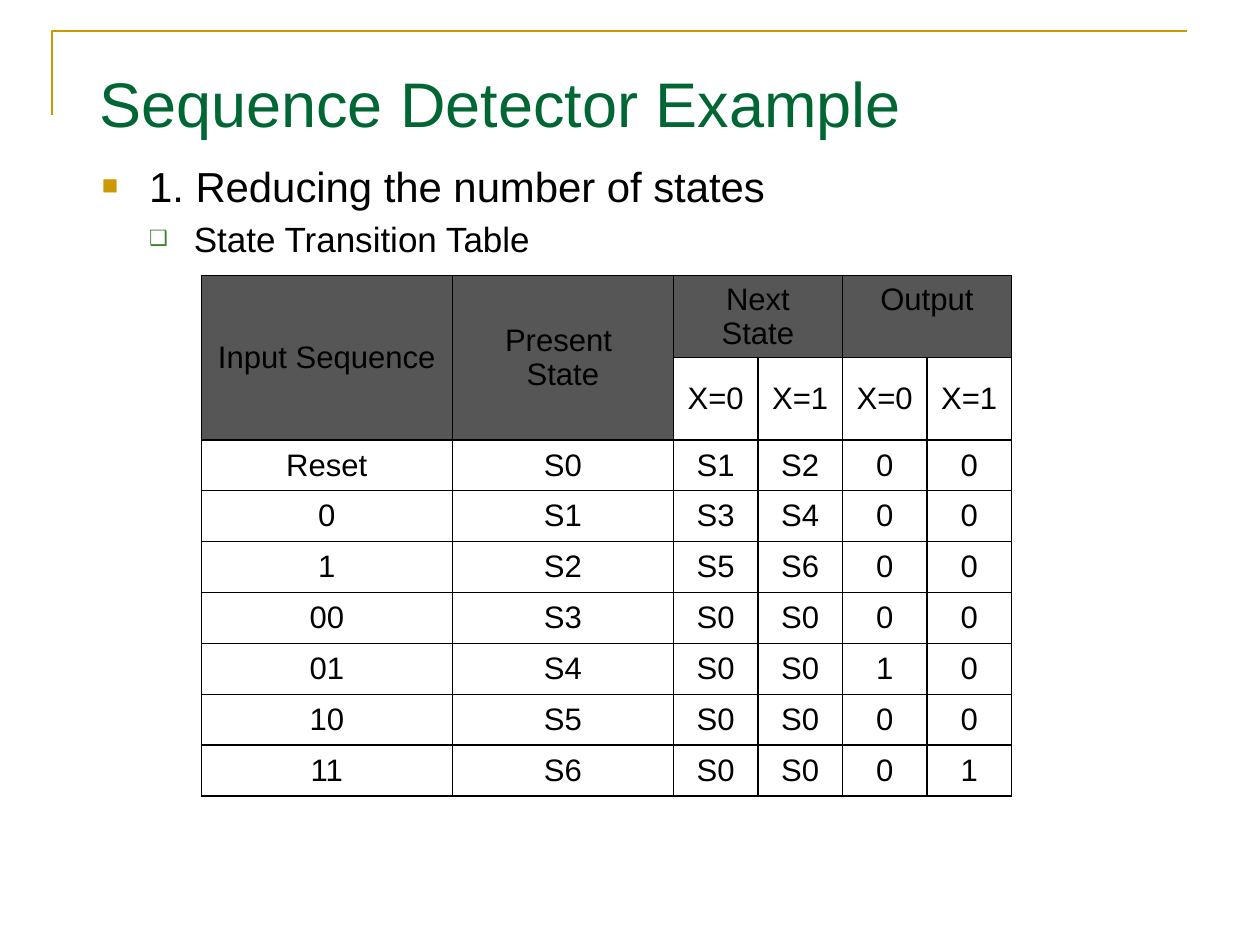
from pptx import Presentation
from pptx.dml.color import RGBColor
from pptx.enum.text import MSO_ANCHOR as Anchor, MSO_AUTO_SIZE as AutoSize, PP_ALIGN as Align
from pptx.oxml import parse_xml
from pptx.oxml.ns import nsdecls
from pptx.util import Inches, Pt


def color(value):
    return RGBColor.from_string(value)


class SlideBuilder:
    font = "Arial"
    black = "000000"
    white = "FFFFFF"
    gold = "CC9900"
    title_green = "006633"
    bullet_green = "3B812F"
    header_gray = "565656"

    def __init__(self, presentation):
        self.slide = presentation.slides.add_slide(presentation.slide_layouts[1])

    def format_runs(self, paragraph, size, ink):
        for run in paragraph.runs:
            run.font.name = self.font
            run.font.size = Pt(size)
            run.font.color.rgb = color(ink)

    def place(self, shape, left, top, width, height, anchor):
        shape.left, shape.top = Inches(left), Inches(top)
        shape.width, shape.height = Inches(width), Inches(height)
        text_frame = shape.text_frame
        text_frame.word_wrap = True
        text_frame.auto_size = AutoSize.NONE
        text_frame.vertical_anchor = anchor
        return text_frame

    def corner_line(self, points):
        start, *others = [(Inches(x), Inches(y)) for x, y in points]
        builder = self.slide.shapes.build_freeform(*start)
        builder.add_line_segments(others, close=False)
        shape = builder.convert_to_shape()
        shape.shadow.inherit = False
        shape.fill.background()
        shape.line.color.rgb = color(self.gold)
        shape.line.width = Pt(1.5)

    def title(self, text):
        text_frame = self.place(self.slide.shapes.title, 0.7, 0.45, 8.74, 0.74, Anchor.MIDDLE)
        text_frame.text = text
        paragraph = text_frame.paragraphs[0]
        paragraph.alignment = Align.LEFT
        self.format_runs(paragraph, 36.5, self.title_green)

    def bullet(self, paragraph, margin, hanging, symbol, ink, percent):
        properties = paragraph._p.get_or_add_pPr()
        properties.set("marL", str(Inches(margin)))
        properties.set("indent", str(Inches(-hanging)))
        for element in (
            f'<a:buClr {nsdecls("a")}><a:srgbClr val="{ink}"/></a:buClr>',
            f'<a:buSzPct {nsdecls("a")} val="{percent * 1000}"/>',
            f'<a:buFont {nsdecls("a")} typeface="{self.font}"/>',
            f'<a:buChar {nsdecls("a")} char="{symbol}"/>',
        ):
            properties.append(parse_xml(element))

    def body(self, items):
        text_frame = self.place(self.slide.placeholders[1], 0.72, 1.24, 8.74, 4.82, Anchor.TOP)
        text_frame.text = "\n".join(text for text, *_ in items)
        for level, (paragraph, item) in enumerate(zip(text_frame.paragraphs, items)):
            text, size, *bullet_style = item
            paragraph.level = level
            paragraph.space_before = Pt(0.2 * size if level else 0)
            self.bullet(paragraph, *bullet_style)
            self.format_runs(paragraph, size, self.black)

    def cell(self, cell, text, fill, anchor):
        properties = cell._tc.get_or_add_tcPr()
        for side in ("lnL", "lnR", "lnT", "lnB"):
            properties.append(parse_xml(
                f'<a:{side} {nsdecls("a")} w="{Pt(1)}"><a:solidFill>'
                f'<a:srgbClr val="{self.black}"/></a:solidFill></a:{side}>'))
        cell.fill.solid()
        cell.fill.fore_color.rgb = color(fill)
        cell.vertical_anchor = anchor
        cell.text_frame.text = text
        for paragraph in cell.text_frame.paragraphs:
            paragraph.alignment = Align.CENTER
            self.format_runs(paragraph, 18, self.black)

    def table(self, left, top, widths, heights, rows, merges):
        frame = self.slide.shapes.add_table(
            len(rows), len(widths), Inches(left), Inches(top),
            Inches(sum(widths)), Inches(sum(heights)))
        table = frame.table
        for column, width in zip(table.columns, widths):
            column.width = Inches(width)
        for row, height in zip(table.rows, heights):
            row.height = Inches(height)
        for first, last in merges:
            table.cell(*first).merge(table.cell(*last))
        for row_index, values in enumerate(rows):
            for column_index, text in enumerate(values):
                is_header = row_index == 0 or (row_index == 1 and column_index < 2)
                is_group = row_index == 0 and column_index >= 2
                self.cell(
                    table.cell(row_index, column_index), text,
                    self.header_gray if is_header else self.white,
                    Anchor.TOP if is_group else Anchor.MIDDLE)


def main():
    presentation = Presentation()
    presentation.slide_width, presentation.slide_height = Inches(10.14), Inches(7.6)
    builder = SlideBuilder(presentation)
    builder.corner_line([(0.42, 0.93), (0.42, 0.25), (9.55, 0.25)])
    builder.title("Sequence Detector Example")
    builder.body([
        ("1. Reducing the number of states", 24.3, 0.38, 0.38, "■", builder.gold, 65),
        ("State Transition Table", 20.3, 0.74, 0.36, "❑", builder.bullet_green, 60),
    ])
    rows = [
        ["Input Sequence", "Present \nState", "Next State", "", "Output", ""],
        ["", "", "X=0", "X=1", "X=0", "X=1"],
        ["Reset", "S0", "S1", "S2", "0", "0"],
        ["0", "S1", "S3", "S4", "0", "0"],
        ["1", "S2", "S5", "S6", "0", "0"],
        ["00", "S3", "S0", "S0", "0", "0"],
        ["01", "S4", "S0", "S0", "1", "0"],
        ["10", "S5", "S0", "S0", "0", "0"],
        ["11", "S6", "S0", "S0", "0", "1"],
    ]
    merges = [((0, 0), (1, 0)), ((0, 1), (1, 1)), ((0, 2), (0, 3)), ((0, 4), (0, 5))]
    builder.table(1.62, 2.22, [2.02, 1.78] + [0.68] * 4, [0.66] * 2 + [0.41] * 7, rows, merges)
    presentation.save("out.pptx")


if __name__ == "__main__":
    main()
